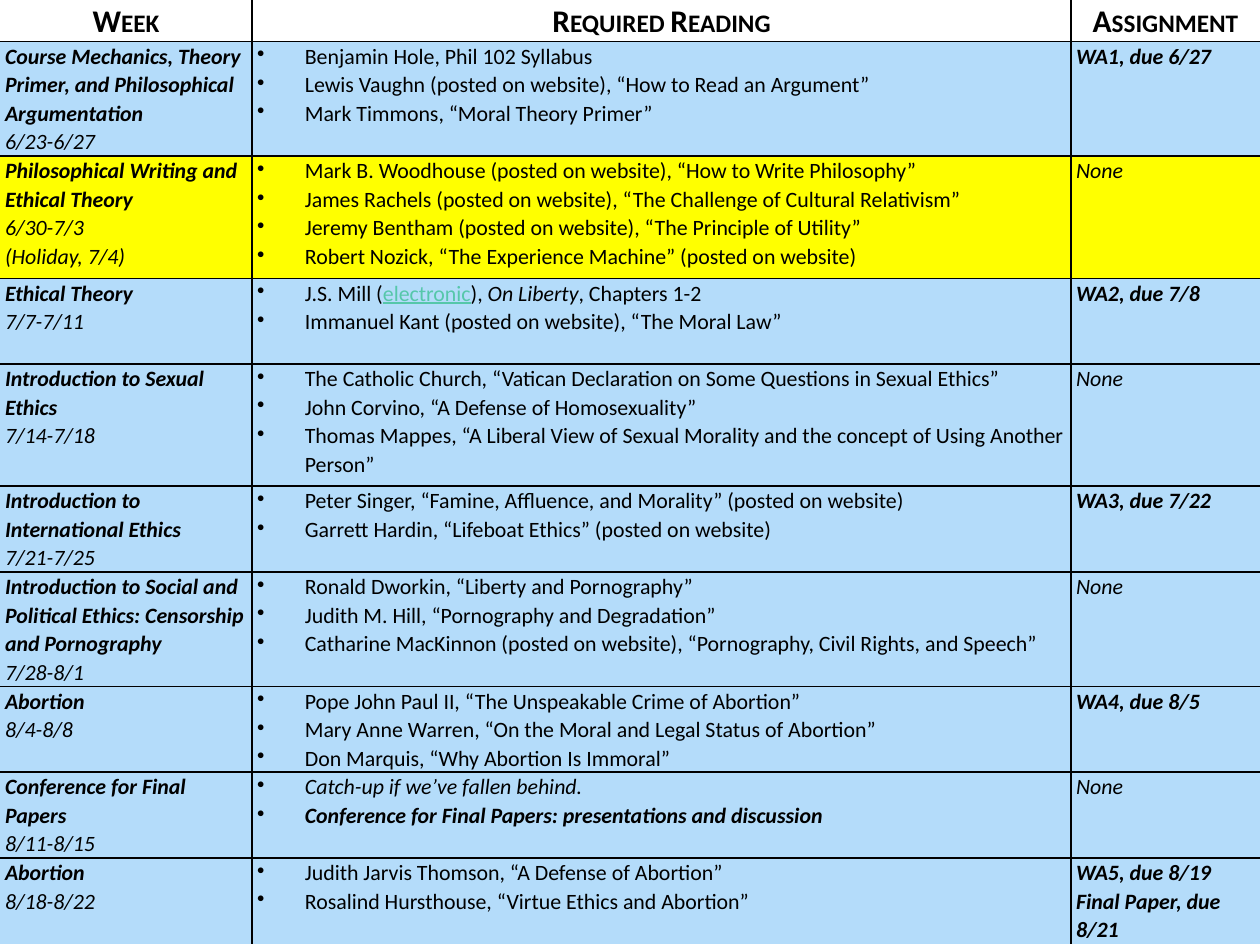
from lxml import etree
from pptx import Presentation
from pptx.dml.color import RGBColor
from pptx.enum.text import PP_ALIGN
from pptx.oxml.ns import qn
from pptx.util import Inches, Pt

BLACK = RGBColor(0x00, 0x00, 0x00)
WHITE = RGBColor(0xFF, 0xFF, 0xFF)
SKY = RGBColor(0xB4, 0xDC, 0xFA)
YELLOW = RGBColor(0xFF, 0xFF, 0x00)
LINK = RGBColor(0x56, 0xC7, 0xAA)
CENTER = PP_ALIGN.CENTER

COLUMN_SHARES = (0.2, 0.65, 0.15)
HEADINGS = ("Week", "Required Reading", "Assignment")
HEADING_HEIGHT = 0.33

# Row height, fill, topic, dates, readings, assignments.
# A reading is plain text or a list of (text, style) spans.
WEEKS = [
    (0.91, SKY, "Course Mechanics, Theory Primer, and Philosophical Argumentation",
     ["6/23-6/27"],
     ["Benjamin Hole, Phil 102 Syllabus",
      "Lewis Vaughn (posted on website), “How to Read an Argument”",
      "Mark Timmons, “Moral Theory Primer”"],
     ["WA1, due 6/27"]),
    (0.97, YELLOW, "Philosophical Writing and Ethical Theory",
     ["6/30-7/3", "(Holiday, 7/4)"],
     ["Mark B. Woodhouse (posted on website), “How to Write Philosophy”",
      "James Rachels (posted on website), “The Challenge of Cultural Relativism”",
      "Jeremy Bentham (posted on website), “The Principle of Utility”",
      "Robert Nozick, “The Experience Machine” (posted on website)"],
     []),
    (0.68, SKY, "Ethical Theory", ["7/7-7/11"],
     [[("J.S. Mill (", ""), ("electronic", "link"), ("), ", ""),
       ("On Liberty", "italic"), (", Chapters 1-2", "")],
      "Immanuel Kant (posted on website), “The Moral Law”"],
     ["WA2, due 7/8"]),
    (0.97, SKY, "Introduction to Sexual Ethics", ["7/14-7/18"],
     ["The Catholic Church, “Vatican Declaration on Some Questions in Sexual Ethics”",
      "John Corvino, “A Defense of Homosexuality”",
      "Thomas Mappes, “A Liberal View of Sexual Morality and the concept of "
      "Using Another Person”"],
     []),
    (0.68, SKY, "Introduction to International Ethics", ["7/21-7/25"],
     ["Peter Singer, “Famine, Affluence, and Morality” (posted on website)",
      "Garrett Hardin, “Lifeboat Ethics” (posted on website)"],
     ["WA3, due 7/22"]),
    (0.91, SKY, "Introduction to Social and Political Ethics: Censorship and Pornography",
     ["7/28-8/1"],
     ["Ronald Dworkin, “Liberty and Pornography”",
      "Judith M. Hill, “Pornography and Degradation”",
      "Catharine MacKinnon (posted on website), “Pornography, Civil Rights, and Speech”"],
     []),
    (0.68, SKY, "Abortion", ["8/4-8/8"],
     ["Pope John Paul II, “The Unspeakable Crime of Abortion”",
      "Mary Anne Warren, “On the Moral and Legal Status of Abortion”",
      "Don Marquis, “Why Abortion Is Immoral”"],
     ["WA4, due 8/5"]),
    (0.68, SKY, "Conference for Final Papers", ["8/11-8/15"],
     [[("Catch-up if we’ve fallen behind.", "italic")],
      [("Conference for Final Papers: presentations and discussion", "bold italic")]],
     []),
    (0.68, SKY, "Abortion", ["8/18-8/22"],
     ["Judith Jarvis Thomson, “A Defense of Abortion”",
      "Rosalind Hursthouse, “Virtue Ethics and Abortion”"],
     ["WA5, due 8/19", "Final Paper, due 8/21"]),
]


class Schedule:
    """Holds the text style and the page on which the timetable is built."""

    font_name = "Calibri"
    heading_size = Pt(18)
    body_size = Pt(12.5)
    line_spacing = 1.07
    bullet_indent = Inches(0.38)
    side_margin = Inches(0.04)
    border_width = Pt(1)

    def __init__(self, deck):
        self.deck = deck
        self.page = deck.slides.add_slide(deck.slide_layouts[6])

    def table(self, heights):
        width, height = self.deck.slide_width, self.deck.slide_height
        frame = self.page.shapes.add_table(
            len(heights), len(COLUMN_SHARES), 0, 0, width, height)
        table = frame.table
        table.first_row = table.horz_banding = False
        for column, share in zip(table.columns, COLUMN_SHARES):
            column.width = int(width * share)
        for row, row_height in zip(table.rows, heights):
            row.height = Inches(row_height)
        return table

    def cell(self, table, row, column, fill):
        """Style one cell; only edges between two cells get a line."""
        cell = table.cell(row, column)
        cell.margin_left = cell.margin_right = self.side_margin
        cell.margin_top = cell.margin_bottom = 0
        inner_edges = {
            "a:lnL": column > 0,
            "a:lnR": column < len(table.columns) - 1,
            "a:lnT": row > 0,
            "a:lnB": row < len(table.rows) - 1,
        }
        properties = cell._tc.get_or_add_tcPr()
        for tag, is_inner in inner_edges.items():
            line = etree.SubElement(properties, qn(tag), w=str(self.border_width))
            if is_inner:
                solid = etree.SubElement(line, qn("a:solidFill"))
                etree.SubElement(solid, qn("a:srgbClr"), val=str(BLACK))
            else:
                etree.SubElement(line, qn("a:noFill"))
        cell.fill.solid()
        cell.fill.fore_color.rgb = fill
        return cell

    def paragraphs(self, cell, items, bullet=False):
        """Fill a cell from (spans, style) pairs, one paragraph each."""
        for index, (spans, style) in enumerate(items):
            frame = cell.text_frame
            para = frame.add_paragraph() if index else frame.paragraphs[0]
            para.line_spacing = self.line_spacing
            if bullet:
                self.bullet(para)
            self.font(para, style)
            for text, span_style in spans:
                span = para.add_run()
                span.text = text
                if "bold" in span_style:
                    span.font.bold = True
                if "italic" in span_style:
                    span.font.italic = True
                if span_style == "link":
                    span.font.underline = True
                    span.font.color.rgb = LINK

    def bullet(self, para):
        properties = para._p.get_or_add_pPr()
        properties.set("marL", str(self.bullet_indent))
        properties.set("indent", str(-self.bullet_indent))
        etree.SubElement(properties, qn("a:buChar"), char="•")

    def font(self, para, style):
        font = para.font
        font.name = self.font_name
        font.size = self.heading_size if style == "heading" else self.body_size
        font.bold = style == "heading" or "bold" in style
        font.italic = "italic" in style
        font.color.rgb = BLACK
        if style == "heading":
            para.alignment = CENTER
            para._p.pPr.find(qn("a:defRPr")).set("cap", "small")


def plain(text, style):
    return [(text, "")], style


def main():
    deck = Presentation()
    deck.slide_width, deck.slide_height = Inches(10), Inches(7.5)
    schedule = Schedule(deck)
    table = schedule.table([HEADING_HEIGHT] + [week[0] for week in WEEKS])

    for column, heading in enumerate(HEADINGS):
        cell = schedule.cell(table, 0, column, WHITE)
        schedule.paragraphs(cell, [plain(heading, "heading")])

    for row, (_, fill, topic, dates, readings, tasks) in enumerate(WEEKS, 1):
        week_cell, reading_cell, task_cell = (
            schedule.cell(table, row, column, fill) for column in range(3))
        schedule.paragraphs(week_cell, [plain(topic, "bold italic")]
                            + [plain(date, "italic") for date in dates])
        schedule.paragraphs(
            reading_cell,
            [plain(item, "") if isinstance(item, str) else (item, "")
             for item in readings],
            bullet=True)
        schedule.paragraphs(task_cell, [plain(task, "bold italic") for task in tasks]
                            or [plain("None", "italic")])
    deck.save("out.pptx")


if __name__ == "__main__":
    main()
